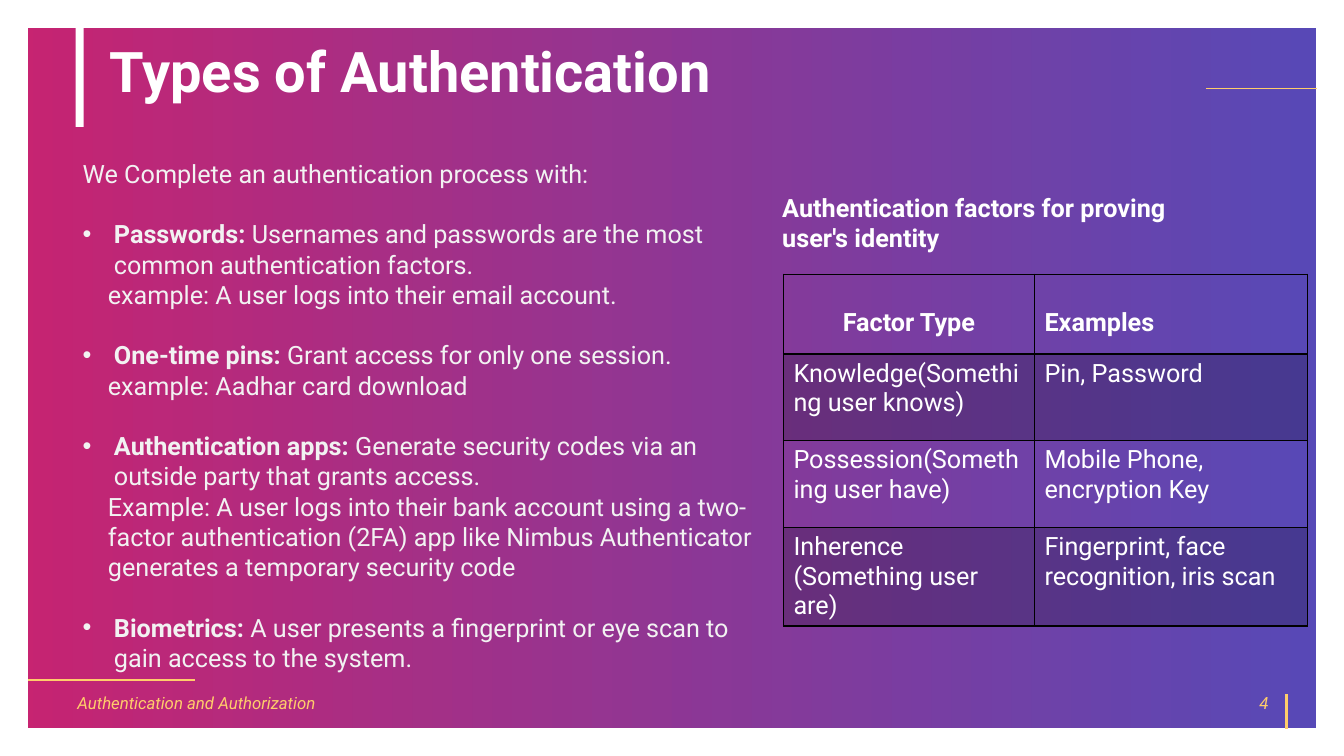
from dataclasses import dataclass

from lxml.etree import SubElement
from pptx import Presentation
from pptx.dml.color import RGBColor
from pptx.enum.shapes import MSO_CONNECTOR, MSO_SHAPE
from pptx.enum.text import MSO_ANCHOR, MSO_AUTO_SIZE, PP_ALIGN
from pptx.oxml.ns import qn
from pptx.util import Inches, Pt


@dataclass(frozen=True)
class Theme:
    font: str = "Roboto"
    white: str = "FFFFFF"
    pale: str = "F2F2F2"
    gold: str = "FFCD6B"
    black: str = "000000"
    pink: str = "BE005A"
    blue: str = "3B2CAC"
    head: int = 40
    text: int = 18
    note: int = 12


def fade(fill, pct):
    for color in fill.iter(qn("a:srgbClr")):
        SubElement(color, qn("a:alpha"), val=str(pct * 1000))


class Deck:
    def __init__(self, theme):
        self.theme = theme
        self.prs = Presentation()
        self.prs.slide_width = Inches(13.33)
        self.prs.slide_height = Inches(7.5)
        self.slide = self.prs.slides.add_slide(self.prs.slide_layouts[1])
        self.shapes = self.slide.shapes

    def style(self, para, size, color, bold=None, italic=None):
        font = para.font
        font.name = self.theme.font
        font.size = Pt(size)
        font.color.rgb = RGBColor.from_string(color)
        font.bold = bold
        font.italic = italic

    def rect(self, x, y, w, h):
        box = self.shapes.add_shape(
            MSO_SHAPE.RECTANGLE, Inches(x), Inches(y), Inches(w), Inches(h))
        box.shadow.inherit = False
        return box

    def backdrop(self, x, y, w, h):
        box = self.rect(x, y, w, h)
        box.fill.gradient()
        box.fill.gradient_angle = 0
        for stop, color in zip(box.fill.gradient_stops,
                               (self.theme.pink, self.theme.blue)):
            stop.color.rgb = RGBColor.from_string(color)
        fade(box.element.spPr.find(qn("a:gradFill")), 85)
        box.line.color.rgb = RGBColor.from_string(self.theme.white)
        box.line.width = Pt(21.5)

    def bar(self, x, y, w, h):
        box = self.rect(x, y, w, h)
        box.fill.solid()
        box.fill.fore_color.rgb = RGBColor.from_string(self.theme.white)
        box.line.fill.background()

    def rule(self, x1, y1, x2, y2, width):
        line = self.shapes.add_connector(
            MSO_CONNECTOR.STRAIGHT, Inches(x1), Inches(y1), Inches(x2), Inches(y2))
        line.line.color.rgb = RGBColor.from_string(self.theme.gold)
        line.line.width = Pt(width)
        SubElement(line.element.spPr, qn("a:effectLst"))

    def place(self, holder, x, y, w, h):
        self.shapes.element.append(holder.element)
        holder.left, holder.top = Inches(x), Inches(y)
        holder.width, holder.height = Inches(w), Inches(h)
        frame = holder.text_frame
        frame.auto_size = MSO_AUTO_SIZE.NONE
        frame.word_wrap = True
        return frame

    def title(self, text, *area):
        frame = self.place(self.shapes.title, *area)
        frame.vertical_anchor = MSO_ANCHOR.BOTTOM
        frame.text = text
        para = frame.paragraphs[0]
        para.alignment = PP_ALIGN.LEFT
        para.line_spacing = 0.9
        self.style(para, self.theme.head, self.theme.white, bold=True)

    def item(self, para, text, lead="", left=0.0, gap=0):
        props = para._p.get_or_add_pPr()
        props.set("marL", str(Inches(left)))
        props.set("indent", str(-Inches(left) if lead else 0))
        if lead:
            SubElement(props, qn("a:buFont"), typeface="Arial")
            SubElement(props, qn("a:buChar"), char="•")
            para.add_run().text = lead
            para.runs[0].font.bold = True
        else:
            SubElement(props, qn("a:buNone"))
        para.add_run().text = text
        para.space_before = Pt(gap)
        self.style(para, self.theme.text, self.theme.pale)

    def body(self, intro, items, *area):
        frame = self.place(self.slide.placeholders[1], *area)
        frame.vertical_anchor = MSO_ANCHOR.TOP
        self.item(frame.paragraphs[0], intro)
        for lead, text, example in items:
            self.item(frame.add_paragraph(), text, lead, 0.31, 21.6)
            if example:
                self.item(frame.add_paragraph(), example, left=0.25)

    def label(self, text, x, y, w, h, size, color, bold=None, italic=None,
              align=PP_ALIGN.LEFT, anchor=MSO_ANCHOR.TOP):
        box = self.shapes.add_textbox(Inches(x), Inches(y), Inches(w), Inches(h))
        frame = box.text_frame
        frame.word_wrap = True
        frame.vertical_anchor = anchor
        frame.text = text
        frame.paragraphs[0].alignment = align
        self.style(frame.paragraphs[0], size, color, bold, italic)

    def cell(self, cell, text, row, col):
        head = row == 0
        cell.text = text
        para = cell.text_frame.paragraphs[0]
        para.alignment = PP_ALIGN.CENTER if head and col == 0 else PP_ALIGN.LEFT
        self.style(para, self.theme.text, self.theme.white, bold=head)
        if head:
            cell.margin_top = Inches(0.34)
        props = cell._tc.get_or_add_tcPr()
        for side in "LRTB":
            thick = (row, side) in ((0, "B"), (1, "T"))
            line = SubElement(props, qn(f"a:ln{side}"), w=str(Pt(2 if thick else 1)))
            paint = SubElement(line, qn("a:solidFill"))
            SubElement(paint, qn("a:srgbClr"), val=self.theme.black)
        if row % 2:
            cell.fill.solid()
            cell.fill.fore_color.rgb = RGBColor.from_string(self.theme.black)
            fade(props.find(qn("a:solidFill")), 20)
        else:
            cell.fill.background()

    def table(self, rows, x, y, widths, heights):
        grid = self.shapes.add_table(
            len(rows), len(widths), Inches(x), Inches(y),
            Inches(sum(widths)), Inches(sum(heights))).table
        grid.first_row = grid.horz_banding = False
        for col, width in zip(grid.columns, widths):
            col.width = Inches(width)
        for row, height in zip(grid.rows, heights):
            row.height = Inches(height)
        for r, texts in enumerate(rows):
            for c, text in enumerate(texts):
                self.cell(grid.cell(r, c), text, r, c)


def main():
    theme = Theme()
    deck = Deck(theme)
    deck.backdrop(0.13, 0.13, 13.07, 7.24)
    deck.bar(0.75, 0.27, 0.08, 0.99)
    deck.rule(12.76, 7.23, 12.76, 6.89, 1.5)
    deck.rule(11.96, 0.88, 13.06, 0.88, 0.5)
    deck.rule(0.28, 6.75, 1.93, 6.75, 1.5)
    deck.label("Authentication and Authorization", 0.67, 6.77, 3.56, 0.4,
               theme.note, theme.gold, italic=True, anchor=MSO_ANCHOR.MIDDLE)
    deck.label("4", 9.68, 6.77, 3, 0.4, theme.note, theme.gold, italic=True,
               align=PP_ALIGN.RIGHT, anchor=MSO_ANCHOR.MIDDLE)
    deck.title("Types of Authentication", 0.99, 0.33, 6.79, 0.76)
    deck.body("We Complete an authentication process with:", [
        ("Passwords:",
         " Usernames and passwords are the most common authentication factors.",
         "example: A user logs into their email account."),
        ("One-time pins:", " Grant access for only one session.",
         "example: Aadhar card download"),
        ("Authentication apps:",
         " Generate security codes via an outside party that grants access.",
         "Example: A user logs into their bank account using a two-factor "
         "authentication (2FA) app like Nimbus Authenticator generates a "
         "temporary security code"),
        ("Biometrics:",
         " A user presents a fingerprint or eye scan to gain access to the system.",
         ""),
    ], 0.72, 1.52, 7.02, 5.25)
    deck.table([
        ("Factor Type", "Examples"),
        ("Knowledge(Something user knows)", "Pin, Password"),
        ("Possession(Something user have)", "Mobile Phone, encryption Key"),
        ("Inherence (Something user are)", "Fingerprint, face recognition, iris scan"),
    ], 7.77, 2.72, (2.49, 2.71), (0.79, 0.86, 0.86, 0.86))
    deck.label("Authentication factors for proving user's identity",
               7.66, 1.86, 4.29, 0.71, theme.text, theme.white, bold=True)
    deck.prs.save("out.pptx")


if __name__ == "__main__":
    main()
